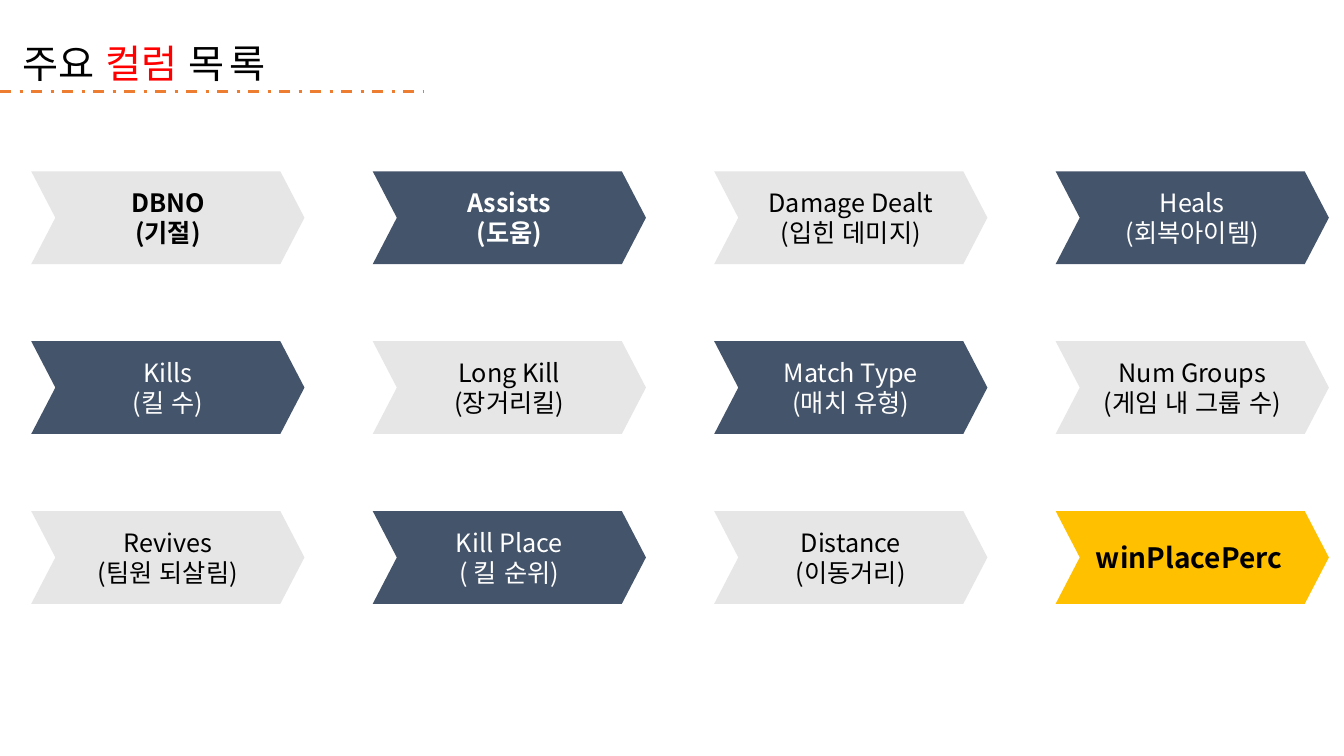
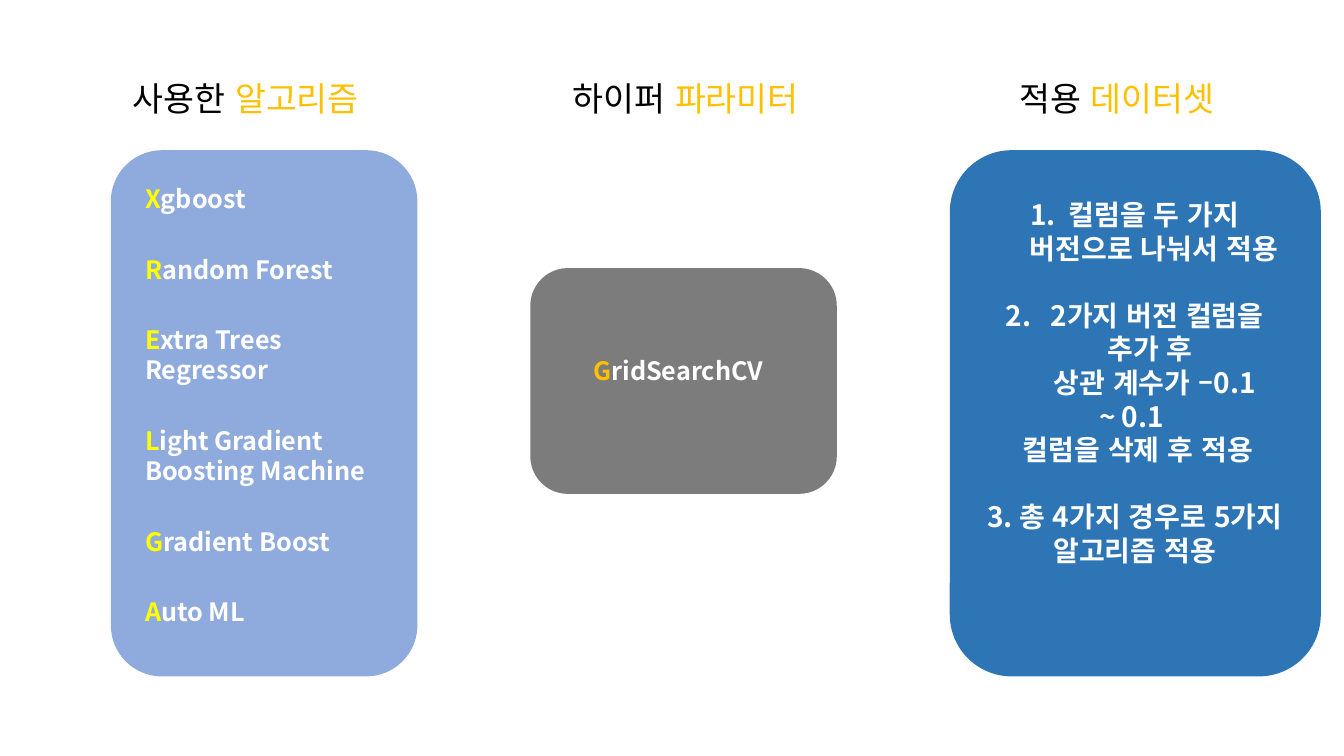
"""Builds two slides: the main data columns, and the algorithms, tuning and data sets used."""
from lxml import etree
from pptx import Presentation
from pptx import util as u
from pptx.dml.color import RGBColor
from pptx.enum import dml, lang, shapes, text
from pptx.oxml.ns import qn

FONT = "Noto Sans CJK KR"
COLORS = {
    "black": "000000", "white": "FFFFFF", "red": "FF0000", "yellow": "FFFF00",
    "gold": "FFC000", "orange": "ED7D31", "light": "E7E6E6", "navy": "44546A",
    "periwinkle": "8FAADC", "gray": "7C7C7C", "blue": "2E75B6",
}
CENTER = {"alignment": text.PP_ALIGN.CENTER}
COLUMNS = [
    ["DBNO\n(기절)", "Assists\n(도움)", "Damage Dealt\n(입힌 데미지)", "Heals\n(회복아이템)"],
    ["Kills\n(킬 수)", "Long Kill\n(장거리킬)", "Match Type\n(매치 유형)", "Num Groups\n(게임 내 그룹 수)"],
    ["Revives\n(팀원 되살림)", "Kill Place\n( 킬 순위)", "Distance\n(이동거리)", "winPlacePerc "],
]
ALGORITHMS = ["Xgboost", "Random Forest", "Extra Trees Regressor",
              "Light Gradient Boosting Machine", "Gradient Boost", "Auto ML"]
HEADINGS = [(0.99, "사용한 ", "알고리즘 "), (5.26, " 하이퍼 ", "파라미터"), (9.63, "적용 ", "데이터셋 ")]
CARDS = [(1.1, 1.49, 3.04, 5.22, "periwinkle"), (5.26, 2.66, 3.04, 2.24, "gray"),
         (9.42, 1.49, 3.68, 5.22, "blue")]
DATASETS = [
    ("컬럼을 두 가지 버전으로 나눠서 적용", True, 0),
    (" 2가지 버전 컬럼을 추가 후 \n 상관 계수가 –0.1 ", True, 24),
    ("~ 0.1 \n 컬럼을 삭제 후 적용", False, 0),
    ("3. 총 4가지 경우로 5가지 알고리즘 적용", False, 24),
]


def rgb(name):
    return RGBColor.from_string(COLORS[name])


def set_all(obj, values):
    for key, value in values.items():
        setattr(obj, key, value)


def add_run(p, words, color, size, bold=False):
    for i, part in enumerate(words.split("\n")):
        if i:
            p.add_line_break()
        r = p.add_run()
        r.text = part
        set_all(r.font, {"name": FONT, "size": u.Pt(size), "bold": bold,
                         "language_id": lang.MSO_LANGUAGE_ID.KOREAN})
        r.font.color.rgb = rgb(color)
        etree.SubElement(r.font._element, qn("a:ea"), typeface=FONT)
    return r


def add_paragraph(tf, runs, size, bold=False, **layout):
    p = tf.paragraphs[0]
    if p.runs:
        p = tf.add_paragraph()
    set_all(p, layout)
    for words, color in runs:
        add_run(p, words, color, size, bold)
    return p


def number(p, indent=0.38):
    pPr = p._p.get_or_add_pPr()
    pPr.set("marL", str(u.Inches(indent)))
    pPr.set("indent", str(-u.Inches(indent)))
    etree.SubElement(pPr, qn("a:buFont"), typeface="+mj-lt")
    etree.SubElement(pPr, qn("a:buAutoNum"), type="arabicPeriod")


def add_text(s, x, y, w, h):
    tf = s.shapes.add_textbox(*map(u.Inches, (x, y, w, h))).text_frame
    set_all(tf, {"word_wrap": True, "auto_size": text.MSO_AUTO_SIZE.SHAPE_TO_FIT_TEXT})
    return tf


def add_shape(s, kind, x, y, w, h, fill):
    sp = s.shapes.add_shape(kind, *map(u.Inches, (x, y, w, h)))
    sp.shadow.inherit = False
    sp.fill.solid()
    sp.fill.fore_color.rgb = rgb(fill)
    sp.line.fill.background()
    return sp


def add_chevron(s, row, col, words):
    last = (row, col) == (2, 3)
    fill, color = ("light", "black") if (row + col) % 2 == 0 else ("navy", "white")
    if last:
        fill, color = "gold", "black"
    sp = add_shape(s, shapes.MSO_SHAPE.CHEVRON, 0.31 + col * 10.16 / 3, 1.7 + row * 3.37 / 2,
                   2.71, 0.92, fill)
    sp.adjustments[0] = 0.26
    tf = sp.text_frame
    set_all(tf, {"word_wrap": True, "vertical_anchor": text.MSO_ANCHOR.MIDDLE})
    bold = last or (row == 0 and col < 2)
    for line in words.split("\n"):
        add_paragraph(tf, [(line, color)], 20 if last else 18, bold, **CENTER)


def add_title(s):
    tf = add_text(s, 0.13, 0.11, 3.07, 0.81)
    p = add_paragraph(tf, [("주요 ", "black"), ("컬럼 ", "red"), ("목록", "black")], 28, line_spacing=1.5)
    p.runs[-1].font._element.set("spc", "300")
    y = u.Inches(0.91)
    cx = s.shapes.add_connector(shapes.MSO_CONNECTOR.STRAIGHT, 0, y, u.Inches(4.21), y)
    set_all(cx.line, {"width": u.Pt(2), "dash_style": dml.MSO_LINE.DASH_DOT})
    cx.line.color.rgb = rgb("orange")
    etree.SubElement(cx._element.spPr, qn("a:effectLst"))


def build_columns(s):
    for row, names in enumerate(COLUMNS):
        for col, words in enumerate(names):
            add_chevron(s, row, col, words)
    add_title(s)


def build_methods(s):
    for x, plain, accent in HEADINGS:
        add_paragraph(add_text(s, x, 0.72, 2.99, 0.5),
                      [(plain, "black"), (accent, "gold")], 24, **CENTER)
    for card in CARDS:
        add_shape(s, shapes.MSO_SHAPE.ROUNDED_RECTANGLE, *card)
    tf = add_text(s, 1.34, 1.77, 2.57, 4.85)
    for i, name in enumerate(ALGORITHMS):
        add_paragraph(tf, [(name[0], "yellow"), (name[1:], "white")], 18, True,
                      space_before=u.Pt(28.8 if i else 0))
    add_paragraph(add_text(s, 5.73, 3.48, 2.24, 0.4),
                  [(" ", "white"), ("G", "gold"), ("ridSearchCV", "white")], 18, True)
    tf = add_text(s, 9.63, 1.91, 3.25, 3.8)
    for words, numbered, gap in DATASETS:
        p = add_paragraph(tf, [(words, "white")], 20, True, space_before=u.Pt(gap), **CENTER)
        if numbered:
            number(p)


def main():
    prs = Presentation()
    set_all(prs, {"slide_width": u.Inches(13.33), "slide_height": u.Inches(7.5)})
    for build in (build_columns, build_methods):
        build(prs.slides.add_slide(prs.slide_layouts[6]))
    prs.save("out.pptx")


if __name__ == "__main__":
    main()
